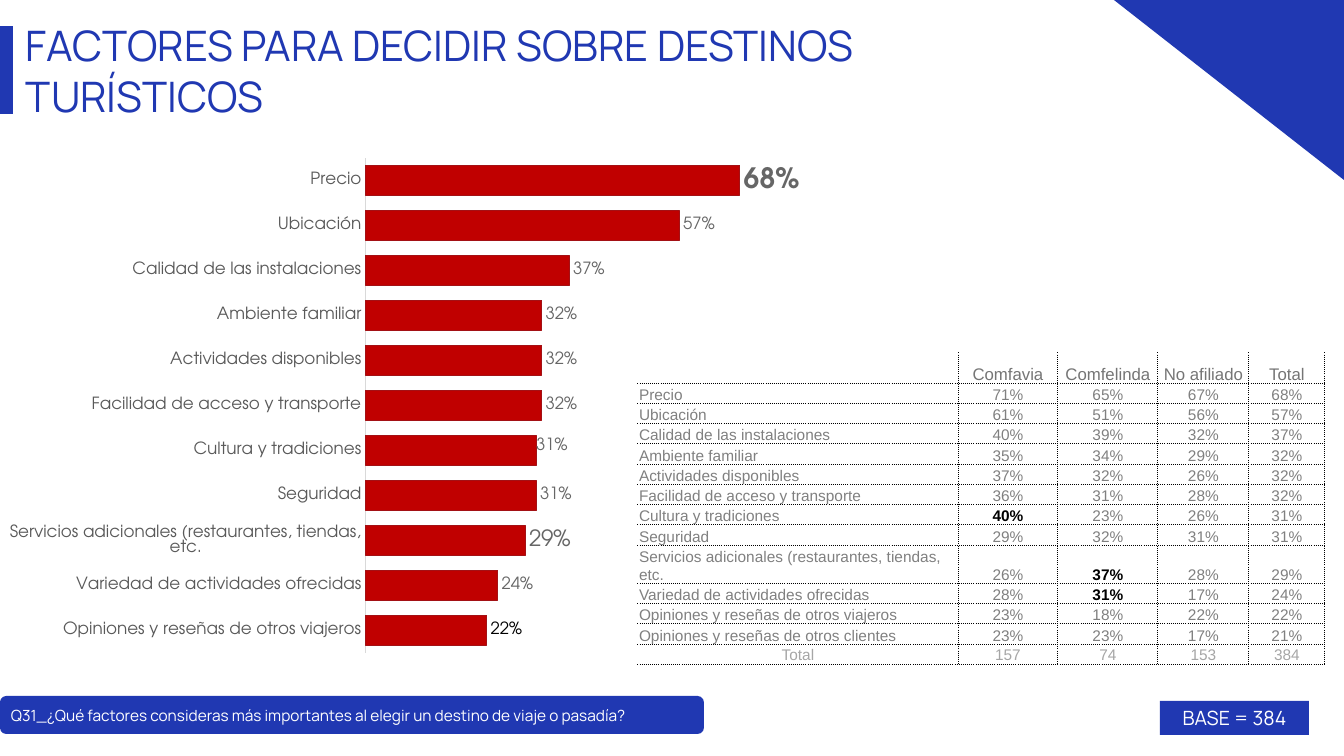
from dataclasses import dataclass

from lxml.etree import SubElement
from pptx import Presentation
from pptx.chart.data import CategoryChartData
from pptx.dml.color import RGBColor
from pptx.enum.chart import XL_CHART_TYPE, XL_LABEL_POSITION, XL_TICK_LABEL_POSITION, XL_TICK_MARK
from pptx.enum.shapes import MSO_SHAPE
from pptx.enum.text import MSO_ANCHOR, MSO_AUTO_SIZE, PP_ALIGN
from pptx.oxml import parse_xml
from pptx.oxml.ns import nsdecls, qn
from pptx.util import Emu, Pt

EMU_PER_PX = 914400 / 100.8

BLUE = RGBColor(0x20, 0x38, 0xB2)
RED = RGBColor(0xC0, 0x00, 0x00)
DARK_RED = RGBColor(0xA3, 0x11, 0x15)
WHITE = RGBColor(0xFF, 0xFF, 0xFF)
BLACK = RGBColor(0x00, 0x00, 0x00)
AXIS_TEXT = RGBColor(0x59, 0x59, 0x59)
AXIS_LINE = RGBColor(0xD9, 0xD9, 0xD9)
LABEL_GRAY = RGBColor(0x66, 0x66, 0x66)
HEADER_GRAY = RGBColor(0x75, 0x75, 0x75)
CELL_GRAY = RGBColor(0x80, 0x80, 0x80)
TOTAL_GRAY = RGBColor(0xA6, 0xA6, 0xA6)

TITLE_FONT, CHART_FONT, TABLE_FONT = "Manrope", "TeX Gyre Adventor", "Arial"


@dataclass(frozen=True)
class Panel:
    shape: MSO_SHAPE
    left: int
    top: int
    width: int
    height: int


@dataclass(frozen=True)
class PointLabel:
    index: int
    size: int = 12
    color: RGBColor = LABEL_GRAY
    bold: bool = False


@dataclass(frozen=True)
class Factor:
    name: str
    shares: tuple[int, int, int, int]
    strong: int = -1  # group set in bold


GROUPS = ("Comfavia", "Comfelinda", "No afiliado", "Total")
FACTORS = [
    Factor("Precio", (71, 65, 67, 68)),
    Factor("Ubicación", (61, 51, 56, 57)),
    Factor("Calidad de las instalaciones", (40, 39, 32, 37)),
    Factor("Ambiente familiar", (35, 34, 29, 32)),
    Factor("Actividades disponibles", (37, 32, 26, 32)),
    Factor("Facilidad de acceso y transporte", (36, 31, 28, 32)),
    Factor("Cultura y tradiciones", (40, 23, 26, 31), 0),
    Factor("Seguridad", (29, 32, 31, 31)),
    Factor("Servicios adicionales (restaurantes, tiendas, etc.", (26, 37, 28, 29), 1),
    Factor("Variedad de actividades ofrecidas", (28, 31, 17, 24), 1),
    Factor("Opiniones y reseñas de otros viajeros", (23, 18, 22, 22)),
    Factor("Opiniones y reseñas de otros clientes", (23, 23, 17, 21)),
]
BASES = ("157", "74", "153", "384")
CHARTED = FACTORS[:-1]
POINT_LABELS = [PointLabel(0, 20, bold=True), PointLabel(6), PointLabel(8, 16), PointLabel(10, color=BLACK)]
SHIFTED_POINT = 6

FOOTER_BAR = Panel(MSO_SHAPE.ROUNDED_RECTANGLE, 0, 696, 704, 38)
BASE_BOX = Panel(MSO_SHAPE.RECTANGLE, 1160, 701, 149, 34)
CORNER = [(1344, 0), (1114, 0), (1344, 180)]
TITLE_BAND = [(0, 114), (0, 26), (13, 26), (13, 114)]
COLUMNS = (320, 100, 100, 91, 76)
CHART_WIDTH, CHART_HEIGHT = 820, 521


def px(*lengths: int) -> list[Emu]:
    return [Emu(round(length * EMU_PER_PX)) for length in lengths]


def style_font(font, *, size: int, color: RGBColor, name: str, bold: bool = False) -> None:
    font.size, font.name, font.bold = Pt(size), name, bold
    font.color.rgb = color


def write_text(frame, text: str, *, align=PP_ALIGN.LEFT, margins=(10, 5, 10, 5),
               anchor=MSO_ANCHOR.TOP, **style) -> None:
    frame.word_wrap = True
    frame.vertical_anchor = anchor
    frame.margin_left, frame.margin_top, frame.margin_right, frame.margin_bottom = px(*margins)
    para = frame.paragraphs[0]
    para.alignment = align
    span = para.add_run()
    span.text = text
    style_font(span.font, **style)


def paint(shape) -> None:
    shape.shadow.inherit = False
    shape.fill.solid()
    shape.fill.fore_color.rgb = BLUE
    shape.line.fill.background()


def add_panel(page, panel: Panel):
    box = page.shapes.add_shape(panel.shape, *px(panel.left, panel.top, panel.width, panel.height))
    paint(box)
    return box


def add_outline(page, points: list[tuple[int, int]]) -> None:
    builder = page.shapes.build_freeform(*points[0], scale=EMU_PER_PX)
    builder.add_line_segments(points[1:], close=True)
    paint(builder.convert_to_shape())


def add_factor_chart(page) -> None:
    data = CategoryChartData(number_format="0%")
    data.categories = [factor.name for factor in CHARTED]
    data.add_series("Series 1", [factor.shares[-1] / 100 for factor in CHARTED])
    chart = page.shapes.add_chart(XL_CHART_TYPE.BAR_CLUSTERED,
                                  *px(8, 139, CHART_WIDTH, CHART_HEIGHT), data).chart
    chart.has_legend = chart.has_title = False
    style_font(chart.font, size=10, color=BLACK, name=TABLE_FONT)

    # Axes
    category, value = chart.category_axis, chart.value_axis
    category.reverse_order = True
    category.format.line.color.rgb = AXIS_LINE
    category.format.line.width = Pt(0.75)
    value.minimum_scale, value.maximum_scale = 0, 0.8
    value.has_major_gridlines = False
    value.tick_label_position = XL_TICK_LABEL_POSITION.NONE
    value.format.line.fill.background()
    for axis, name in ((category, CHART_FONT), (value, TABLE_FONT)):
        axis.major_tick_mark = axis.minor_tick_mark = XL_TICK_MARK.NONE
        style_font(axis.tick_labels.font, size=12, color=AXIS_TEXT, name=name)

    # Bars and their labels
    plot = chart.plots[0]
    plot.gap_width = 50
    plot.vary_by_categories = False
    series = plot.series[0]
    series.format.fill.solid()
    series.format.fill.fore_color.rgb = RED
    series.format.line.color.rgb = DARK_RED
    series.format.line.width = Pt(0.75)
    labels = series.data_labels
    labels.show_value = True
    labels.number_format, labels.number_format_is_linked = "0%", False
    labels.position = XL_LABEL_POSITION.OUTSIDE_END
    style_font(labels.font, size=12, color=LABEL_GRAY, name=CHART_FONT)
    for point in POINT_LABELS:
        label = series.points[point.index].data_label
        style_font(label.font, size=point.size, color=point.color, name=CHART_FONT, bold=point.bold)
        label.position = XL_LABEL_POSITION.OUTSIDE_END

    # Manual layout of the plot area and of one label
    area = chart.element.xpath(".//c:plotArea")[0]
    for old in area.findall(qn("c:layout")):
        area.remove(old)
    area.insert(0, manual_layout(layoutTarget="inner", xMode="edge", yMode="edge",
                                 x=0.436, y=0.036, w=0.537, h=0.95))
    shifted = chart.element.xpath(f'.//c:dLbl[c:idx/@val="{SHIFTED_POINT}"]')[0]
    shifted.insert(1, manual_layout(x=-4 / CHART_WIDTH, y=-4 / CHART_HEIGHT))


def manual_layout(**settings):
    layout = parse_xml(f"<c:layout {nsdecls('c')}><c:manualLayout/></c:layout>")
    for tag, setting in settings.items():
        SubElement(layout[0], qn(f"c:{tag}"), val=str(setting))
    return layout


def dot_borders(cell, sides: str) -> None:
    for position, side in enumerate(sides):
        cell._tc.get_or_add_tcPr().insert(position, parse_xml(
            f'<a:ln{side} {nsdecls("a")} w="9525"><a:solidFill><a:srgbClr val="{BLACK}"/></a:solidFill>'
            f'<a:prstDash val="sysDot"/></a:ln{side}>'))


def add_factor_table(page) -> None:
    rows = [("", *GROUPS)]
    rows += [(factor.name, *(f"{share}%" for share in factor.shares)) for factor in FACTORS]
    rows.append(("Total", *BASES))
    last = len(rows) - 1
    table = page.shapes.add_table(len(rows), len(COLUMNS), *px(638, 353, sum(COLUMNS), 303)).table
    table.first_row = table.horz_banding = False
    for column, width in zip(table.columns, px(*COLUMNS)):
        column.width = width
    for r, texts in enumerate(rows):
        two_lines = 0 < r < last and len(texts[0]) > 40
        height = 22 if r == 0 else 38 if two_lines else 20
        table.rows[r].height = px(height + (r > 0 and r % 4 == 0))[0]
        for c, text in enumerate(texts):
            cell = table.cell(r, c)
            cell.fill.background()
            dot_borders(cell, ("L" if c else "") + "R" + ("T" if r else "") + "B")
            strong = 0 < r < last and c > 0 and FACTORS[r - 1].strong == c - 1
            color = HEADER_GRAY if r == 0 else TOTAL_GRAY if r == last else BLACK if strong else CELL_GRAY
            if not text:
                SubElement(cell.text_frame.paragraphs[0]._p, qn("a:endParaRPr"), sz="1200")
                continue
            cell.vertical_anchor = MSO_ANCHOR.BOTTOM
            cell.margin_left, cell.margin_top, cell.margin_right, cell.margin_bottom = px(1, 1, 1, 0)
            left = c == 0 and r < last
            write_text(cell.text_frame, text, align=PP_ALIGN.LEFT if left else PP_ALIGN.CENTER,
                       margins=(1, 1, 1, 0), anchor=MSO_ANCHOR.BOTTOM, size=11 if r else 12,
                       color=color, name=TABLE_FONT, bold=strong)


def main() -> None:
    deck = Presentation()
    deck.slide_width, deck.slide_height = px(1344, 756)
    page = deck.slides.add_slide(deck.slide_layouts[5])

    # Chart and table
    add_factor_chart(page)
    add_factor_table(page)

    # Blue decoration
    add_panel(page, FOOTER_BAR)
    add_outline(page, CORNER)
    add_outline(page, TITLE_BAND)

    # Title, question and base
    title = page.shapes.title
    title.left, title.top, title.width, title.height = px(25, 19, 1072, 103)
    write_text(title.text_frame, "FACTORES PARA DECIDIR SOBRE DESTINOS TURÍSTICOS",
               margins=(1, 1, 0, 0), size=30, color=BLUE, name=TITLE_FONT)
    title.text_frame.auto_size = MSO_AUTO_SIZE.NONE
    question = page.shapes.add_textbox(*px(1, 701, 759, 29))
    write_text(question.text_frame,
               "Q31_¿Qué factores consideras más importantes al elegir un destino de viaje o pasadía?",
               size=11, color=WHITE, name=TITLE_FONT)
    write_text(add_panel(page, BASE_BOX).text_frame, "BASE = 384", align=PP_ALIGN.CENTER,
               size=14, color=WHITE, name=TITLE_FONT)

    deck.save("out.pptx")


if __name__ == "__main__":
    main()
